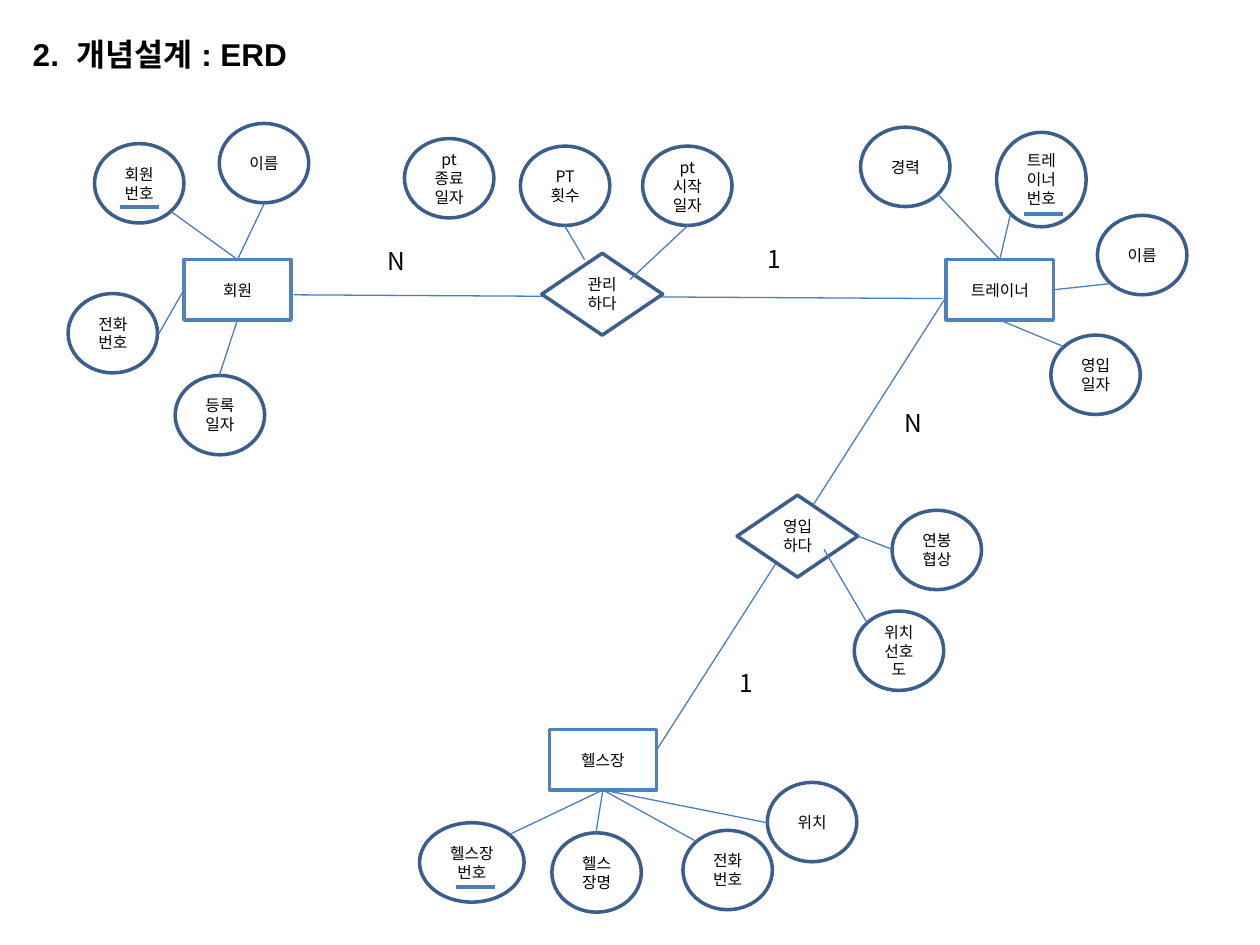
from lxml import etree
from pptx import Presentation
from pptx.dml.color import RGBColor
from pptx.enum.lang import MSO_LANGUAGE_ID
from pptx.enum.shapes import MSO_CONNECTOR, MSO_SHAPE
from pptx.enum.text import MSO_ANCHOR, MSO_AUTO_SIZE, PP_ALIGN
from pptx.oxml.ns import qn
from pptx.util import Inches, Pt

RECT, DIAMOND, OVAL = MSO_SHAPE.RECTANGLE, MSO_SHAPE.DIAMOND, MSO_SHAPE.OVAL
STRAIGHT = MSO_CONNECTOR.STRAIGHT
CENTER, LEFT = PP_ALIGN.CENTER, PP_ALIGN.LEFT
TOP, MIDDLE = MSO_ANCHOR.TOP, MSO_ANCHOR.MIDDLE
FIT_SHAPE = MSO_AUTO_SIZE.SHAPE_TO_FIT_TEXT
KOREAN = MSO_LANGUAGE_ID.KOREAN
SITE_TOP, SITE_LEFT, SITE_BOTTOM, SITE_RIGHT = range(4)

WIDTH, HEIGHT = Inches(10), Inches(7.5)
COLS, ROWS = 100, 75
FONT = "Noto Sans CJK KR"
BLACK, WHITE = "000000", "FFFFFF"
ENTITY_LINE, OUTLINE, LINK = "4F81BD", "3A5F8C", "4B7EBC"
ENTITY_SIZE, RELATION_SIZE, ATTRIBUTE_SIZE = (8.5, 4.8), (9.6, 6.5), (7.1, 6.3)

ENTITIES = [("회원", 14.6, 20.6), ("트레이너", 75.1, 20.6), ("헬스장", 43.6, 57.9)]
RELATIONS = [("관리하다", 43, 20.1), ("영입하다", 58.5, 39.3)]
RELATION_LINES = [((23.3, 23.4), (74.8, 23.7)), ((75.2, 23.4), (52.2, 59.4))]
ATTRIBUTES = [
    ("이름", 17.4, 9.8), ("PT횟수", 41.3, 11.6), ("전화번호", 5.4, 23.3),
    ("회원번호", 7.5, 11.4), ("헬스장명", 43.8, 66.1), ("이름", 87.1, 17.1),
    ("등록일자", 13.9, 29.8), ("영입일자", 83.4, 26.6), ("전화번호", 54.2, 65.9),
    ("pt시작일자", 51, 11.6), ("연봉협상", 70.8, 40.5), ("위치선호도", 67.8, 48.5),
    ("pt종료일자", 32.1, 11), ("경력", 68.3, 10.1), ("위치", 60.9, 62.1),
]
LARGE_ATTRIBUTES = [("헬스장번호", 33.3, 65.3, 8.3, 6.3), ("트레이너번호", 79.1, 10.5, 7.1, 7.5)]
KEY_LINES = [(9.5, 16.4), (81.3, 17), (36.2, 70.4)]
CARDINALITIES = [("1", 59.9, 18.9), ("N", 29.8, 19), ("1", 57.7, 52.5), ("N", 70.8, 31.9)]
JOINED_SPOKES = [
    ("회원", SITE_TOP, [(13.6, 16.8), (21, 16.1)]),
    ("회원", SITE_LEFT, [(12.6, 26.5)]),
    ("회원", SITE_BOTTOM, [(17.4, 29.8)]),
    ("트레이너", SITE_TOP, [(80.2, 17), (74.4, 15.4)]),
    ("트레이너", SITE_RIGHT, [(88.2, 22.5)]),
    ("트레이너", SITE_BOTTOM, [(84.4, 27.5)]),
    ("헬스장", SITE_BOTTOM, [(55.3, 66.8), (47.3, 66.1), (40.5, 66.2), (60.9, 65.3)]),
    ("영입하다", SITE_RIGHT, [(70.8, 43.6)]),
]
FREE_SPOKES = [((44.8, 17.9), (46.4, 20.6)), ((54.6, 17.9), (50, 22.2)), ((68.8, 49.4), (65.4, 43.6))]


def color(value):
    """Turn a hex string into a colour."""
    return RGBColor.from_string(value)


def col(n):
    """Return the length of n grid columns."""
    return round(WIDTH * n / COLS)


def row(n):
    """Return the length of n grid rows."""
    return round(HEIGHT * n / ROWS)


def write(tf, text, size, align=LEFT, font=FONT, bold=False):
    """Put one formatted run into a text frame."""
    p = tf.paragraphs[0]
    p.alignment = align
    r = p.add_run()
    r.text = text
    r.font.name, r.font.size, r.font.bold = font, Pt(size), bold
    r.font.color.rgb = color(BLACK)
    r.font.language_id = KOREAN
    ea = etree.SubElement(r.font._element, qn("a:ea"))
    ea.set("typeface", FONT)


def add_node(s, kind, text, x, y, w, h, line=OUTLINE, filled=True):
    """Add an outlined shape with a centred label."""
    sp = s.shapes.add_shape(kind, col(x), row(y), col(w), row(h))
    sp.shadow.inherit = False
    if filled:
        sp.fill.solid()
        sp.fill.fore_color.rgb = color(WHITE)
    else:
        sp.fill.background()
    sp.line.color.rgb = color(line)
    sp.line.width = Pt(2)
    tf = sp.text_frame
    tf.word_wrap = True
    tf.vertical_anchor = MIDDLE
    write(tf, text, 9, CENTER)
    return sp


def add_line(s, start, end, width=0.75):
    """Add a straight line between two grid points."""
    cx = s.shapes.add_connector(STRAIGHT, col(start[0]), row(start[1]), col(end[0]), row(end[1]))
    cx.line.color.rgb = color(LINK)
    cx.line.width = Pt(width)
    etree.SubElement(cx._element.spPr, qn("a:effectLst"))
    return cx


def add_cardinality(s, text, x, y):
    """Add the cardinality label of a relation."""
    tf = s.shapes.add_textbox(col(x), row(y), col(4.1), row(3.4)).text_frame
    tf.word_wrap = True
    tf.auto_size = FIT_SHAPE
    write(tf, text, 14)


def set_title(s, text):
    """Place and format the title placeholder."""
    sp = s.shapes.title
    sp.left, sp.top, sp.width, sp.height = col(1.6), row(2.3), col(23.4), row(4)
    tf = sp.text_frame
    tf.word_wrap = False
    tf.auto_size = FIT_SHAPE
    tf.vertical_anchor = TOP
    write(tf, text, 18, font="Arial", bold=True)


def main():
    """Build the entity relationship slide."""
    prs = Presentation()
    prs.slide_width, prs.slide_height = WIDTH, HEIGHT
    s = prs.slides.add_slide(prs.slide_layouts[5])
    set_title(s, "2.  개념설계 : ERD")
    nodes = {}
    for text, x, y in ENTITIES:
        nodes[text] = add_node(s, RECT, text, x, y, *ENTITY_SIZE, line=ENTITY_LINE)
    for start, end in RELATION_LINES:
        add_line(s, start, end)
    for text, x, y in RELATIONS:
        nodes[text] = add_node(s, DIAMOND, text, x, y, *RELATION_SIZE)
    for text, x, y in ATTRIBUTES:
        add_node(s, OVAL, text, x, y, *ATTRIBUTE_SIZE, filled=False)
    for attribute in LARGE_ATTRIBUTES:
        add_node(s, OVAL, *attribute, filled=False)
    for x, y in KEY_LINES:
        add_line(s, (x, y), (x + 3.1, y), 2.25)
    for cardinality in CARDINALITIES:
        add_cardinality(s, *cardinality)
    for name, site, starts in JOINED_SPOKES:
        for start in starts:
            add_line(s, start, start).end_connect(nodes[name], site)
    for start, end in FREE_SPOKES:
        add_line(s, start, end)
    prs.save("out.pptx")


if __name__ == "__main__":
    main()
